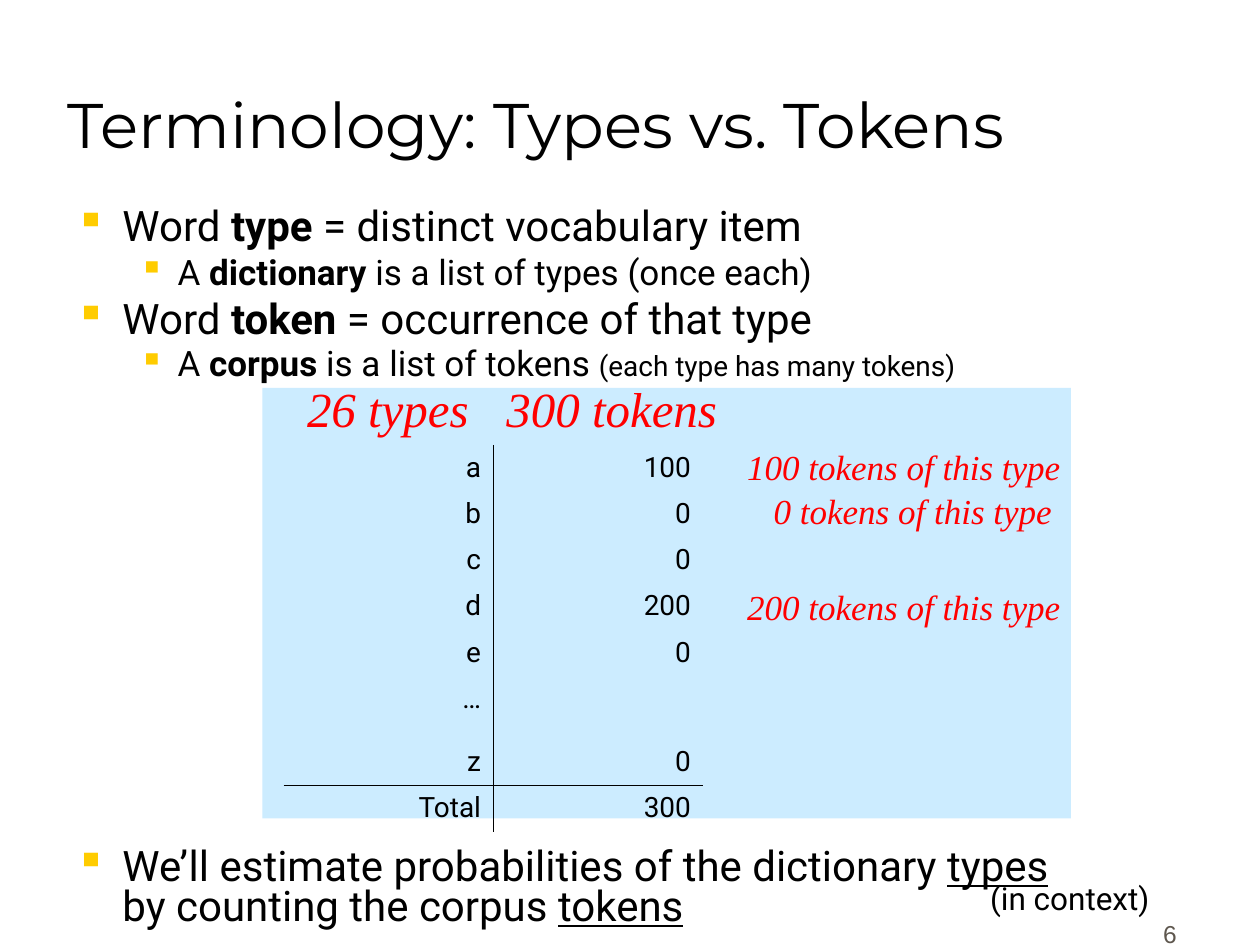
import dataclasses

import lxml.etree
import pptx
import pptx.dml.color
import pptx.enum.shapes
import pptx.enum.text
import pptx.oxml.ns
import pptx.util

Cm = pptx.util.Cm
Pt = pptx.util.Pt
RIGHT = pptx.enum.text.PP_ALIGN.RIGHT
LEFT = pptx.enum.text.PP_ALIGN.LEFT
BOTTOM = pptx.enum.text.MSO_ANCHOR.BOTTOM
TOP = pptx.enum.text.MSO_ANCHOR.TOP


@dataclasses.dataclass(frozen=True)
class Theme:
    """Colours, fonts and type sizes of the slide."""
    ink: str = "000000"
    accent: str = "FF0000"
    bullet: str = "FFCC00"
    panel: str = "CCECFF"
    muted: str = "5E574E"
    heading_font: str = "Montserrat"
    body_font: str = "Roboto"
    note_font: str = "Times New Roman"
    number_font: str = "Arial"
    title: int = 36
    level_sizes: tuple = (24, 20)
    count_heading: int = 28
    note: int = 20
    aside: int = 18
    cell: int = 16
    number: int = 14


THEME = Theme()
NO_STYLE = "{2D5ABB26-0587-4C30-8999-92F81FD0307C}"
LEVEL_INDENTS = ((0.95, -0.95), (2.06, -0.78))
POINTS = (
    (0, 0, (("Word ", ""), ("type", "b"), (" = distinct vocabulary item", ""))),
    (1, 5, (("A ", ""), ("dictionary", "b"), (" is a list of types (once each)", ""))),
    (0, 6, (("Word ", ""), ("token", "b"), (" = occurrence of that type", ""))),
    (1, 4, (("A ", ""), ("corpus", "b"), (" is a list of tokens ", ""),
            ("(each type has many tokens)", "small"))),
    (0, 266, (("We’ll estimate probabilities of the dictionary ", ""), ("types", "u"),
              ("\n", ""), ("by counting the corpus ", ""), ("tokens", "u"))),
)
COUNTS = (("a", "100"), ("b", "0"), ("c", "0"), ("d", "200"),
          ("e", "0"), ("…", ""), ("z", "0"), ("Total", "300"))


def add_xml(parent, tag, **attributes):
    """Append a drawing element to a parent and return it."""
    return lxml.etree.SubElement(parent, pptx.oxml.ns.qn(tag), attributes)


def style_font(font, name, size, color):
    """Set the face, size and colour of a font."""
    font.name = name
    font.size = Pt(size)
    font.color.rgb = pptx.dml.color.RGBColor.from_string(color)


def add_label(shapes, box, text, font, align=LEFT, anchor=TOP, wrap=True, italic=False):
    """Place one line of text; font holds face, size and colour."""
    frame = shapes.add_textbox(*map(Cm, box)).text_frame
    frame.word_wrap = wrap
    frame.vertical_anchor = anchor
    para = frame.paragraphs[0]
    para.text = text
    para.alignment = align
    style_font(para.font, *font)
    para.font.italic = italic


def add_points(page, box):
    """Write the bulleted definitions above and below the count panel."""
    frame = page.shapes.add_textbox(*map(Cm, box)).text_frame
    frame.word_wrap = True
    for index, (level, space, spans) in enumerate(POINTS):
        para = frame.add_paragraph() if index else frame.paragraphs[0]
        para.level = level
        para.line_spacing = 0.8
        if space:
            para.space_before = Pt(space)
        properties = para._p.get_or_add_pPr()
        margin, indent = LEVEL_INDENTS[level]
        properties.set("marL", str(Cm(margin)))
        properties.set("indent", str(Cm(indent)))
        add_xml(add_xml(properties, "a:buClr"), "a:srgbClr", val=THEME.bullet)
        add_xml(properties, "a:buChar", char="▪")
        style_font(para.font, THEME.body_font, THEME.level_sizes[level], THEME.ink)
        for text, mark in spans:
            if text == "\n":
                para.add_line_break()
                continue
            span = para.add_run()
            span.text = text
            if mark == "b":
                span.font.bold = True
            elif mark == "u":
                span.font.underline = True
            elif mark == "small":
                span.font.size = Pt(THEME.cell)


def add_border(cell, side):
    """Draw a thin line on one side of a cell."""
    line = add_xml(cell._tc.get_or_add_tcPr(), side, w=str(Pt(0.45)))
    add_xml(add_xml(line, "a:solidFill"), "a:srgbClr", val=THEME.ink)


def add_counts(page, box):
    """Place the table of counts for each letter."""
    frame = page.shapes.add_table(len(COUNTS), 2, *map(Cm, box))
    table = frame.table
    table.first_row = table.horz_banding = False
    table._tbl.tblPr.find(pptx.oxml.ns.qn("a:tableStyleId")).text = NO_STYLE
    total = len(COUNTS) - 1
    for row, values in enumerate(COUNTS):
        table.rows[row].height = Cm(0.93 if all(values) else 1.27)
        for column, value in enumerate(values):
            cell = table.cell(row, column)
            add_border(cell, "a:lnL" if column else "a:lnR")
            if row == total:
                add_border(cell, "a:lnT")
            elif row == total - 1:
                add_border(cell, "a:lnB")
            cell.fill.background()
            para = cell.text_frame.paragraphs[0]
            para.text = value
            para.alignment = RIGHT
            style_font(para.font, THEME.body_font, THEME.cell, THEME.ink)


def add_count_panel(page, box):
    """Place the shaded panel with its headings, table and notes."""
    left, top, width, height = box
    panel = page.shapes.add_shape(
        pptx.enum.shapes.MSO_SHAPE.RECTANGLE, *map(Cm, box))
    panel.shadow.inherit = False
    panel.fill.solid()
    panel.fill.fore_color.rgb = pptx.dml.color.RGBColor.from_string(THEME.panel)
    panel.line.fill.background()
    add_counts(page, (left + 0.43, top + 1.15, 8.46, 7.44))
    heading_font = (THEME.note_font, THEME.count_heading, THEME.accent)
    for text, offset, span in (("26 types", 0.65, 3.76), ("300 tokens", 4.67, 4.75)):
        add_label(page.shapes, (left + offset, top - 0.32, span, 1.45), text,
                  heading_font, wrap=False, italic=True)
    notes = page.shapes.add_group_shape()
    note_font = (THEME.note_font, THEME.note, THEME.accent)
    for count, offset, span in ((100, 1.04, 6.83), (200, 3.86, 6.83), (0, 1.93, 6.65)):
        add_label(notes.shapes, (left + 9.52, top + offset, span, 1.12),
                  f"{count} tokens of this type", note_font,
                  align=LEFT if count else RIGHT, wrap=not count, italic=True)


def main():
    """Build the slide and save the deck."""
    deck = pptx.Presentation()
    deck.slide_width, deck.slide_height = Cm(25.4), Cm(19.05)
    page = deck.slides.add_slide(deck.slide_layouts[6])
    add_points(page, (1.27, 4.1, 24.13, 14.95))
    add_count_panel(page, (5.29, 7.82, 16.3, 8.68))
    add_label(page.shapes, (1.12, 0.2, 22.78, 3.18), "Terminology: Types vs. Tokens",
              (THEME.heading_font, THEME.title, THEME.ink), anchor=BOTTOM)
    add_label(page.shapes, (19.71, 17.6, 3.84, 1.02), "(in context)",
              (THEME.body_font, THEME.aside, THEME.ink))
    add_label(page.shapes, (18.69, 17.98, 5.28, 1.27), "6",
              (THEME.number_font, THEME.number, THEME.muted), align=RIGHT, anchor=BOTTOM)
    deck.save("out.pptx")


if __name__ == "__main__":
    main()
